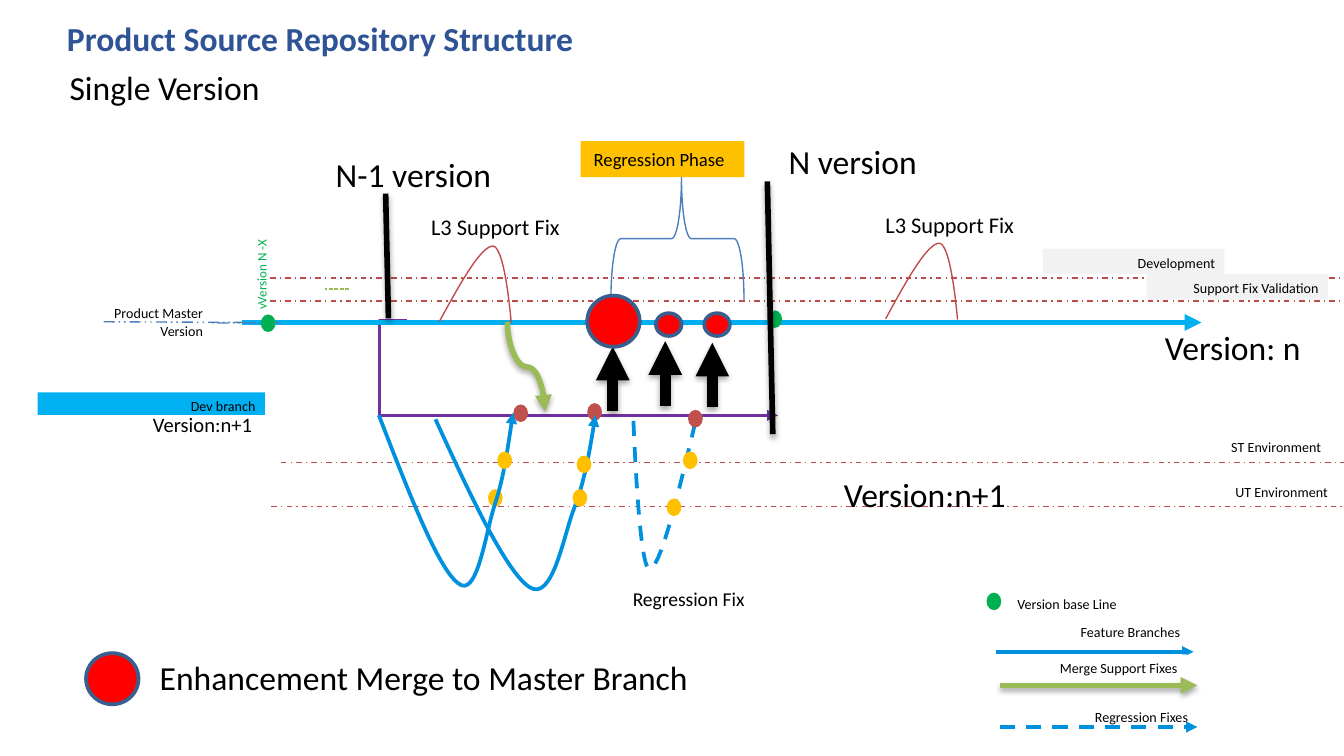
from dataclasses import dataclass
from typing import NamedTuple, Optional

from lxml.etree import SubElement
from pptx import Presentation
from pptx.dml.color import RGBColor
from pptx.enum.dml import MSO_LINE as Dash
from pptx.enum.shapes import MSO_CONNECTOR as Cxn, MSO_SHAPE as Shp
from pptx.enum.text import MSO_ANCHOR as Anchor, MSO_AUTO_SIZE as Auto, PP_ALIGN as Align
from pptx.oxml.ns import qn
from pptx.util import Pt

COLORS = {
    "black": "000000", "white": "FFFFFF", "grey": "F2F2F2", "title": "2F5496",
    "sky": "00B0F0", "branch": "0091DE", "steel": "4B7EBC", "navy": "3A5F8C",
    "guide": "BF4C48", "brick": "C0504D", "red": "FF0000", "purple": "7030A0",
    "green": "00B050", "olive": "9BBB59", "amber": "FFC000",
}
DOT_W, DOT_H = 7.9, 9.4


class Line(NamedTuple):
    x1: float
    y1: float
    x2: float
    y2: float
    color: str
    width: float = 0.75
    dash: Optional[Dash] = None
    kind: Cxn = Cxn.STRAIGHT
    arrow: bool = False
    shadow: bool = False


@dataclass
class Label:
    text: str
    x: float
    y: float
    w: float
    h: float
    size: float = 7.5
    color: str = "black"
    fill: Optional[str] = None
    right: bool = False
    small: bool = True      # tight margins
    wrap: bool = True
    bold: bool = False
    angle: float = 0


class Curve(NamedTuple):
    points: list            # start, then three points for each Bézier segment
    height: float
    color: str
    width: float = 2
    dash: Optional[Dash] = None
    end: Optional[str] = None


class Oval(NamedTuple):
    x: float
    y: float
    color: str
    w: float = DOT_W
    h: float = DOT_H
    outline: Optional[str] = None


def rgb(name: str) -> RGBColor:
    return RGBColor.from_string(COLORS[name])


def style_line(sp, color: str, width: float, dash=None, end: Optional[str] = None) -> None:
    sp.line.color.rgb = rgb(color)
    sp.line.width = Pt(width)
    if dash:
        sp.line.dash_style = dash
    if end:
        ln = sp.element.spPr.find(qn("a:ln"))
        SubElement(ln, qn(f"a:{end}"), type="triangle")


def draw_line(shapes, n: Line):
    c = shapes.add_connector(n.kind, Pt(n.x1), Pt(n.y1), Pt(n.x2), Pt(n.y2))
    style_line(c, n.color, n.width, n.dash, "tailEnd" if n.arrow else None)
    effects = SubElement(c.element.spPr, qn("a:effectLst"))
    if n.shadow:
        sh = SubElement(effects, qn("a:outerShdw"), blurRad=str(Pt(3.1)),
                        dist=str(Pt(1.8)), dir="5400000", rotWithShape="0")
        clr = SubElement(sh, qn("a:srgbClr"), val=COLORS["black"])
        SubElement(clr, qn("a:alpha"), val="35000")
    return c


def draw_label(shapes, b: Label):
    box = Pt(b.x), Pt(b.y), Pt(b.w), Pt(b.h)
    if b.fill:
        sp = shapes.add_shape(Shp.RECTANGLE, *box)
        sp.shadow.inherit = False
        sp.fill.solid()
        sp.fill.fore_color.rgb = rgb(b.fill)
        sp.line.fill.background()
    else:
        sp = shapes.add_textbox(*box)
    sp.rotation = b.angle
    mx, my = (5.0, 2.9) if b.small else (7.2, 3.6)
    fmt = {"word_wrap": b.wrap, "margin_left": Pt(mx), "margin_right": Pt(mx),
           "margin_top": Pt(my), "margin_bottom": Pt(my), "vertical_anchor": Anchor.TOP,
           "auto_size": Auto.NONE if b.wrap else Auto.SHAPE_TO_FIT_TEXT}
    tf = sp.text_frame
    for name, value in fmt.items():
        setattr(tf, name, value)
    p = tf.paragraphs[0]
    p.alignment = Align.RIGHT if b.right else Align.LEFT
    r = p.add_run()
    r.text = b.text
    for name, value in {"name": "Calibri", "size": Pt(b.size), "bold": b.bold}.items():
        setattr(r.font, name, value)
    r.font.color.rgb = rgb(b.color)
    return sp


def draw_curve(shapes, c: Curve) -> None:
    pts = [(Pt(x), Pt(y)) for x, y in c.points]
    fb = shapes.build_freeform(*pts[0], scale=1.0)
    fb.add_line_segments(pts[1:], close=False)
    sp = fb.convert_to_shape()
    # Turn each three straight steps into one Bézier segment
    path = sp.element.spPr.find(".//" + qn("a:path"))
    steps = path.findall(qn("a:lnTo"))
    for i in range(0, len(steps), 3):
        bez = SubElement(path, qn("a:cubicBezTo"))
        for step in steps[i:i + 3]:
            bez.append(step[0])
            path.remove(step)
    path.set("h", str(Pt(c.height)))
    sp.height = Pt(c.height)
    sp.shadow.inherit = False
    sp.fill.background()
    style_line(sp, c.color, c.width, c.dash, c.end)


def draw_oval(shapes, o: Oval) -> None:
    sp = shapes.add_shape(Shp.OVAL, Pt(o.x), Pt(o.y), Pt(o.w), Pt(o.h))
    sp.shadow.inherit = False
    sp.fill.solid()
    sp.fill.fore_color.rgb = rgb(o.color)
    if o.outline:
        style_line(sp, o.outline, 2)
    else:
        sp.line.fill.background()


def big(text: str, x: float, y: float, w: float, h: float = 28.8, size: float = 18, **kw) -> Label:
    return Label(text, x, y, w, h, size, small=False, **{"wrap": False, **kw})


def support_fix(x: float, y: float) -> Curve:
    steps = [(0, 40.5), (11, 20.3), (22.3, 0), (28.8, 0), (35.3, 0.6), (38.5, 41), (38.5, 41)]
    return Curve([(x + dx, y + dy) for dx, dy in steps], 41, "guide", 0.75)


GUIDES = [Line(x1, y, x2, y, "guide", dash=Dash.DASH_DOT) for x1, x2, y in
          [(144.7, 718.6, 149), (144.7, 718.6, 161.3), (150.5, 724.3, 247.7), (145.4, 720, 271.4)]]
MASTER_DASH = Line(150.5, 172.8, 58.3, 173.5, "steel", dash=Dash.DASH_DOT_DOT)
DEV_BRANCH = Line(218.2, 171.4, 416.9, 222.5, "purple", 1.5, kind=Cxn.ELBOW, arrow=True)
MASTER = Line(129.6, 172.8, 643.7, 172.8, "sky", 3, kind=Cxn.ELBOW, arrow=True)
FEATURE_KEY = Line(533.5, 349.2, 639.4, 349.2, "branch", 2, kind=Cxn.CURVE, arrow=True)
SHORT_DASH = Line(187.2, 154.8, 174.2, 154.8, "olive", dash=Dash.SQUARE_DOT)
MERGE_FIX = Line(306, 186.5, 257.8, 206.7, "olive", 3, kind=Cxn.CURVE, arrow=True, shadow=True)
FRONT_LINES = [
    Line(411.1, 97.2, 414, 232.6, "black", 3, shadow=True),
    Line(206.6, 103.7, 208.1, 170.6, "black", 3, shadow=True),
    *[Line(x, y, x, y - 34.6, "black", 6, arrow=True, shadow=True)
      for x, y in [(328.3, 220.3), (356.4, 217.4), (381.6, 218.2)]],
    Line(535.7, 389.5, 641.5, 389.5, "branch", 2, Dash.DASH, Cxn.CURVE, True),
    Line(535.7, 367.2, 641.5, 367.2, "olive", 3, None, Cxn.CURVE, True, True),
]
BACK_DOTS = [Oval(139.7, 168.5, "green"), Oval(528.5, 317.5, "green"), Oval(411.1, 166.3, "green"),
             Oval(261.4, 262.1, "amber"), Oval(314.6, 216, "brick")]
FRONT_DOTS = [
    *[Oval(x, y, "amber") for x, y in
      [(306.7, 262.1), (308.9, 244.1), (266.4, 241.9), (365.8, 241.9), (357.1, 267.1)]],
    Oval(275, 216.7, "brick"), Oval(368.6, 219.6, "brick"),
    *[Oval(x, y, "red", 28.1, 27.4, "navy") for x, y in [(46.1, 349.9), (314.6, 158.4)]],
    *[Oval(x, 167.8, "red", 13.7, 12.2, "navy") for x in (351.4, 377.3)],
]
CURVES = [
    Curve([(203, 222.5), (218.9, 263.5), (234.7, 304.6), (245.5, 312.5), (255.6, 321.1),
           (259.9, 286.6), (265, 270.7), (270, 255.6), (272.2, 238.3), (275, 221)],
          92.9, "branch", end="tailEnd"),
    Curve([(233.3, 224.6), (252, 265.7), (271.4, 306.7), (283.7, 314.6), (295.9, 322.6),
           (301.7, 288), (307.4, 272.9), (313.2, 257.8), (316.1, 240.5), (319, 222.5)],
          92.9, "branch", end="tailEnd"),
    Curve([(373.7, 221), (363.6, 263.5), (353.5, 305.3), (347.8, 304.6), (342, 304.6),
           (339.1, 219.6), (339.1, 219.6)], 85, "branch", 2, Dash.DASH, "headEnd"),
    support_fix(235.4, 131.8), support_fix(474.5, 130.3),
]
MASTER_LABEL = Label("Product Master Version", 53.3, 159.8, 60.5, 25.2, fill="white", right=True)
LABELS = [
    # Tracks and environments
    Label("UT Environment", 641.5, 256.3, 74.9, 14.4, right=True),
    Label("ST Environment", 637.9, 231.8, 74.9, 14.4, right=True),
    Label("Development", 558.7, 133.2, 97.2, 13.7, fill="grey", right=True),
    Label("Support Fix Validation", 614.2, 146.9, 97.2, 13.7, fill="grey", right=True),
    Label("Dev branch", 20.2, 210.2, 121.7, 12.2, fill="sky", right=True),
    Label("vVersion N -X", 110.2, 137.5, 56.2, 10.8, 7, "green", angle=270),
    # Legend
    Label("Version base Line", 540, 316.1, 115.2, 9.4, fill="white"),
    Label("Feature Branches", 537.1, 331.2, 100.1, 12.2, fill="white", right=True),
    Label("Merge Support Fixes", 535.7, 350.6, 100.1, 10.8, fill="white", right=True),
    Label("Regression Fixes", 541.4, 376.6, 100.1, 13, right=True),
    big("Enhancement Merge to Master Branch", 78.5, 348.5, 301),
    # Versions and phases
    big("Regression Phase", 311, 75.6, 87.8, 19.4, 10, fill="amber"),
    big("Regression Fix", 331.9, 311, 78.5, 20.9, 10.5),
    big("L3 Support Fix", 467.3, 109.4, 84.2, 21.6, 12),
    big("L3 Support Fix", 223.9, 110.9, 84.2, 21.6, 12),
    big("Version: n", 617, 171.4, 87.8),
    big("Version:n+1", 74.9, 217.4, 69.1, 20.9, 11),
    big("Version:n+1", 445, 250.6, 102.2),
    big("N version", 415.4, 72, 84.2),
    big("N-1 version", 172.8, 79.2, 98.6),
    # Headings
    big("Product Source Repository Structure", 28.8, 5.8, 666, 30.2,
        color="title", bold=True, wrap=True),
    big("Single Version", 30.2, 32.4, 666, 30.2, wrap=True),
]


def main() -> None:
    prs = Presentation()
    prs.slide_width, prs.slide_height = Pt(720), Pt(405)
    s = prs.slides.add_slide(prs.slide_layouts[6]).shapes

    # Tracks behind everything else
    for n in GUIDES:
        draw_line(s, n)
    dev = draw_line(s, DEV_BRANCH)
    guides = dev.element.spPr.find(qn("a:prstGeom")).get_or_add_avLst()
    SubElement(guides, qn("a:gd"), name="adj1", fmla="val -7400")
    for n in (MASTER, MASTER_DASH, FEATURE_KEY, SHORT_DASH):
        draw_line(s, n)

    # Master label with its own line
    grp = s.add_group_shape().shapes
    tag = draw_label(grp, MASTER_LABEL)
    tag.text_frame.paragraphs[0].line_spacing = 1.07
    tag.text_frame.paragraphs[0].space_after = Pt(6)
    lead = MASTER_DASH._replace(x1=145.4, x2=53.3, y2=172.4)
    draw_line(grp, lead).end_connect(tag, 1)

    # Regression brace
    brace = s.add_shape(Shp.LEFT_BRACE, Pt(329.8), Pt(92.2), Pt(66.2), Pt(71.3))
    brace.rotation = 90
    brace.adjustments[0], brace.adjustments[1] = 0.08, 0.47
    brace.shadow.inherit = False
    brace.fill.background()
    style_line(brace, "steel", 0.75)

    # Branches, labels and markers
    for o in BACK_DOTS:
        draw_oval(s, o)
    for c in CURVES:
        draw_curve(s, c)
    for b in LABELS:
        draw_label(s, b)
    for n in FRONT_LINES:
        draw_line(s, n)
    for o in FRONT_DOTS:
        draw_oval(s, o)
    draw_line(s, MERGE_FIX).element.spPr.xfrm.set("rot", "16200000")

    prs.save("out.pptx")


if __name__ == "__main__":
    main()
